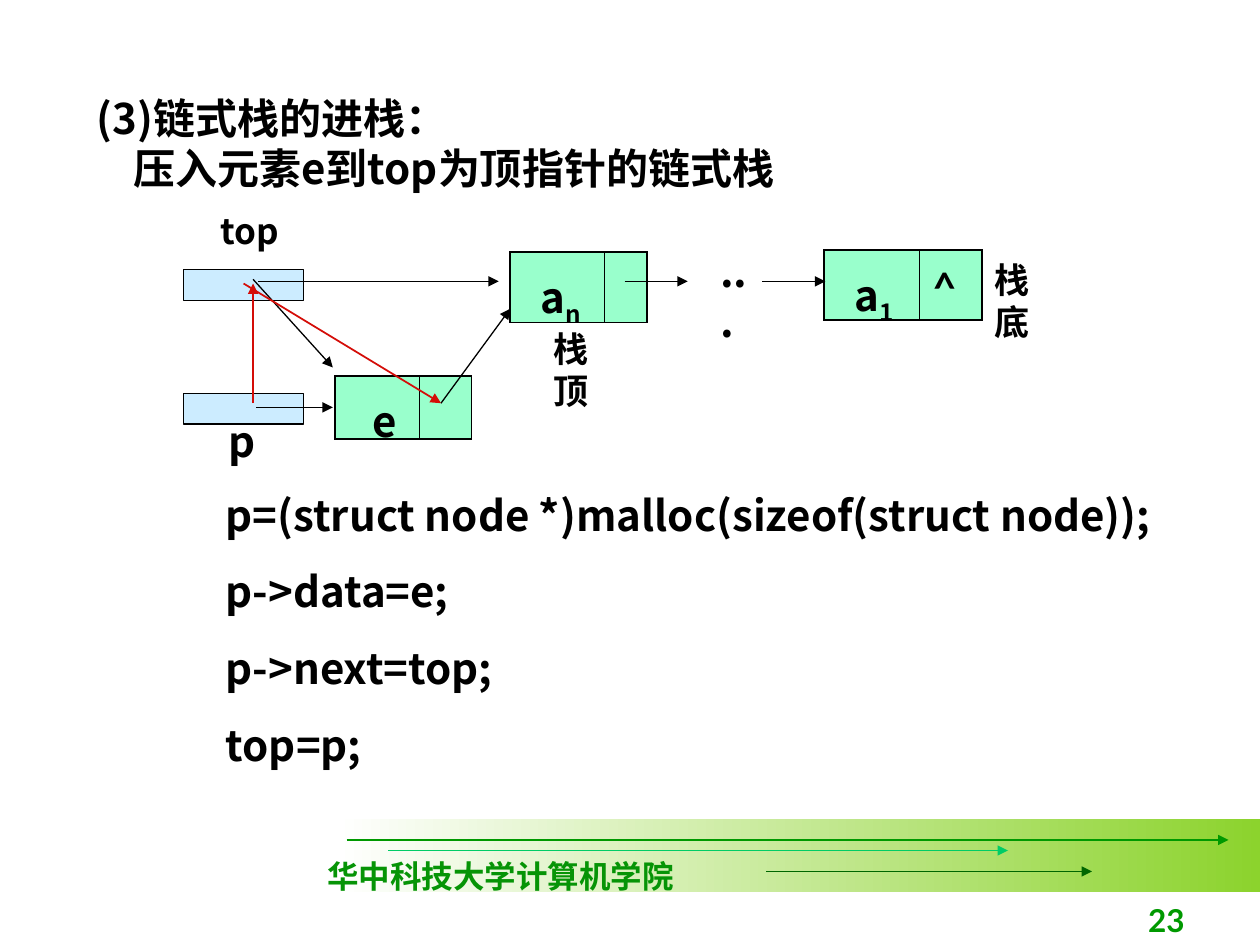
import pptx
import pptx.dml.color
import pptx.enum.shapes
import pptx.enum.text
import pptx.oxml
import pptx.oxml.ns
import pptx.util
from lxml import etree

RGBColor = pptx.dml.color.RGBColor
BLACK = RGBColor(0x00, 0x00, 0x00)
WHITE = RGBColor(0xFF, 0xFF, 0xFF)
RED = RGBColor(0xD4, 0x0D, 0x08)
POINTER_BLUE = RGBColor(0xCC, 0xEC, 0xFF)
NODE_GREEN = RGBColor(0x99, 0xFF, 0xCC)
BAND_GREEN = RGBColor(0x8C, 0xD3, 0x2D)
SCHOOL_GREEN = RGBColor(0x06, 0x94, 0x06)
GREEN = RGBColor(0x00, 0x99, 0x00)
MINT = RGBColor(0x00, 0xCC, 0x66)
DARK_GREEN = RGBColor(0x00, 0x66, 0x00)

CJK = "Noto Sans CJK SC"
LATO = "Lato"
UNIT = pptx.util.Inches(1) / 12  # the slide is a grid of 120 columns and 90 rows
ALIGN = pptx.enum.text.PP_ALIGN
ANCHOR = pptx.enum.text.MSO_ANCHOR


def grid(*lengths):
    return [pptx.util.Emu(round(length * UNIT)) for length in lengths]


def add_xml(parent, tag, **attributes):
    child = etree.SubElement(parent, pptx.oxml.ns.qn(tag))
    for key, value in attributes.items():
        child.set(key, str(value))
    return child


class SlideBuilder:
    def __init__(self, deck):
        self.slide = deck.slides.add_slide(deck.slide_layouts[1])
        self.shapes = self.slide.shapes

    def style(self, paragraph, size, color=BLACK, font=CJK):
        paragraph.font.size = pptx.util.Pt(size)
        paragraph.font.bold = True
        paragraph.font.color.rgb = color
        paragraph.font.name = font
        default_run = paragraph._p.pPr.find(pptx.oxml.ns.qn("a:defRPr"))
        add_xml(default_run, "a:ea", typeface=CJK)

    def placeholder(self, holder, box, lines, gap=0, indents=None):
        holder.left, holder.top, holder.width, holder.height = grid(*box)
        frame = holder.text_frame
        frame.text = "\n".join(lines)
        frame.word_wrap = True
        frame.auto_size = pptx.enum.text.MSO_AUTO_SIZE.NONE
        frame.vertical_anchor = ANCHOR.TOP
        for index, paragraph in enumerate(frame.paragraphs):
            paragraph.alignment = ALIGN.LEFT
            paragraph.space_before = pptx.util.Pt(gap if index else 0)
            properties = paragraph._p.get_or_add_pPr()
            properties.set("marL", str(grid(indents[index] if indents else 0)[0]))
            properties.set("indent", "0")
            add_xml(properties, "a:buNone")
            self.style(paragraph, 24)

    def label(self, text, box, size=20, color=BLACK, font=CJK, wrap=False,
              align=ALIGN.LEFT, anchor=ANCHOR.TOP):
        frame = self.shapes.add_textbox(*grid(*box)).text_frame
        frame.word_wrap = wrap
        frame.vertical_anchor = anchor
        paragraph = frame.paragraphs[0]
        paragraph.text = text
        paragraph.alignment = align
        self.style(paragraph, size, color, font)

    def rectangle(self, box):
        shape = self.shapes.add_shape(
            pptx.enum.shapes.MSO_SHAPE.RECTANGLE, *grid(*box))
        shape.shadow.inherit = False
        return shape

    def pointer(self, box):
        shape = self.rectangle(box)
        shape.fill.solid()
        shape.fill.fore_color.rgb = POINTER_BLUE
        shape.line.color.rgb = BLACK
        shape.line.width = pptx.util.Pt(0.75)

    def band(self, box):
        shape = self.rectangle(box)
        shape.line.fill.background()
        shape.fill.gradient()
        shape.fill.gradient_angle = 0
        for stop, color in zip(shape.fill.gradient_stops, (WHITE, BAND_GREEN)):
            stop.color.rgb = color

    def arrow(self, start, end, color=BLACK, width=0.75):
        connector = self.shapes.add_connector(
            pptx.enum.shapes.MSO_CONNECTOR.STRAIGHT, *grid(*start, *end))
        connector.line.color.rgb = color
        connector.line.width = pptx.util.Pt(width)
        add_xml(connector.line._get_or_add_ln(), "a:tailEnd", type="triangle")
        add_xml(connector._element.spPr, "a:effectLst")

    def node(self, left, top, widths, height, data, subscript="", link="", inset=2.9):
        """A list node: a data cell beside a link cell."""
        table = self.shapes.add_table(
            1, 2, *grid(left, top, sum(widths), height)).table
        table.first_row = table.horz_banding = False
        table.rows[0].height = grid(height)[0]
        for column, width in zip(table.columns, grid(*widths)):
            column.width = width
        data_cell, link_cell = table.rows[0].cells
        for cell, inner_side in ((data_cell, "R"), (link_cell, "L")):
            self.cell_look(cell, inner_side)
        data_cell.margin_left = grid(inset)[0]
        paragraph = data_cell.text_frame.paragraphs[0]
        paragraph.add_run().text = data
        if subscript:
            low = paragraph.add_run()
            low.text = subscript
            low._r.get_or_add_rPr().set("baseline", "-25000")
        self.style(paragraph, 24)
        link_cell.text = link
        self.style(link_cell.text_frame.paragraphs[0], 24, font=LATO)

    def cell_look(self, cell, inner_side):
        cell.margin_top, cell.margin_bottom = grid(1.2, 0)
        properties = cell._tc.get_or_add_tcPr()
        for side in "LRTB":
            width = pptx.util.Pt(0.45 if side == inner_side else 1.08)
            border = add_xml(properties, f"a:ln{side}", w=int(width))
            add_xml(add_xml(border, "a:solidFill"), "a:srgbClr", val=BLACK)
        cell.fill.solid()
        cell.fill.fore_color.rgb = NODE_GREEN


def draw_footer(page):
    page.band((32, 78, 88, 7))
    page.arrow((33, 80), (117, 80), GREEN)
    page.arrow((37, 81), (96, 81), MINT)
    page.arrow((73, 83), (104, 83), DARK_GREEN)
    page.label("华中科技大学计算机学院", (30, 81, 35.4, 4.8), 18,
               SCHOOL_GREEN, "Times New Roman")
    page.label("23", (89, 84, 25, 6), 18, GREEN, LATO, True,
               ALIGN.RIGHT, ANCHOR.BOTTOM)


def draw_stack(page):
    for top in (37.5, 25.7):
        page.pointer((17.5, top, 11.4, 2.9))
    page.node(48.6, 24, (9, 4), 6.7, "a", "n")
    page.node(78.5, 23.8, (9.1, 5.9), 6.7, "a", "1", "^")
    page.node(31.9, 35.8, (8, 5), 6, "e", inset=3.6)

    page.label("栈底", (93.5, 24, 9, 5.3))
    page.label("栈顶", (51.5, 30.6, 9, 5.3))
    page.label("top", (19.8, 19.4, 9, 5.3))
    page.label("p", (20.6, 39, 4.9, 6), 24)
    page.label("...", (67.4, 22.8, 5.8, 6), 24, wrap=True)

    for start, end in (
        ((24.4, 38.8), (31.7, 38.8)),
        ((42, 38.4), (48.6, 29.4)),
        ((24.1, 26.6), (31.7, 35)),
        ((72.6, 26.8), (78.6, 26.8)),
        ((59.5, 26.8), (65.5, 26.8)),
        ((24.6, 26.8), (47.5, 26.8)),
    ):
        page.arrow(start, end)
    page.arrow((23.2, 27), (42, 38.4), RED, 1)
    page.arrow((24.1, 38.4), (24.1, 27), RED)


def main():
    deck = pptx.Presentation()
    deck.slide_width, deck.slide_height = grid(120, 90)
    page = SlideBuilder(deck)
    title, code = page.slide.placeholders
    page.placeholder(title, (8, 8.2, 102.1, 10.8),
                     ["(3)链式栈的进栈：", "压入元素e到top为顶指针的链式栈"],
                     indents=(0, 3.5))
    page.placeholder(code, (20.3, 46, 95.4, 35.3),
                     ["p=(struct node *)malloc(sizeof(struct node));",
                      "p->data=e;", "p->next=top;", "top=p;"], gap=15)
    draw_footer(page)
    draw_stack(page)
    deck.save("out.pptx")


if __name__ == "__main__":
    main()
